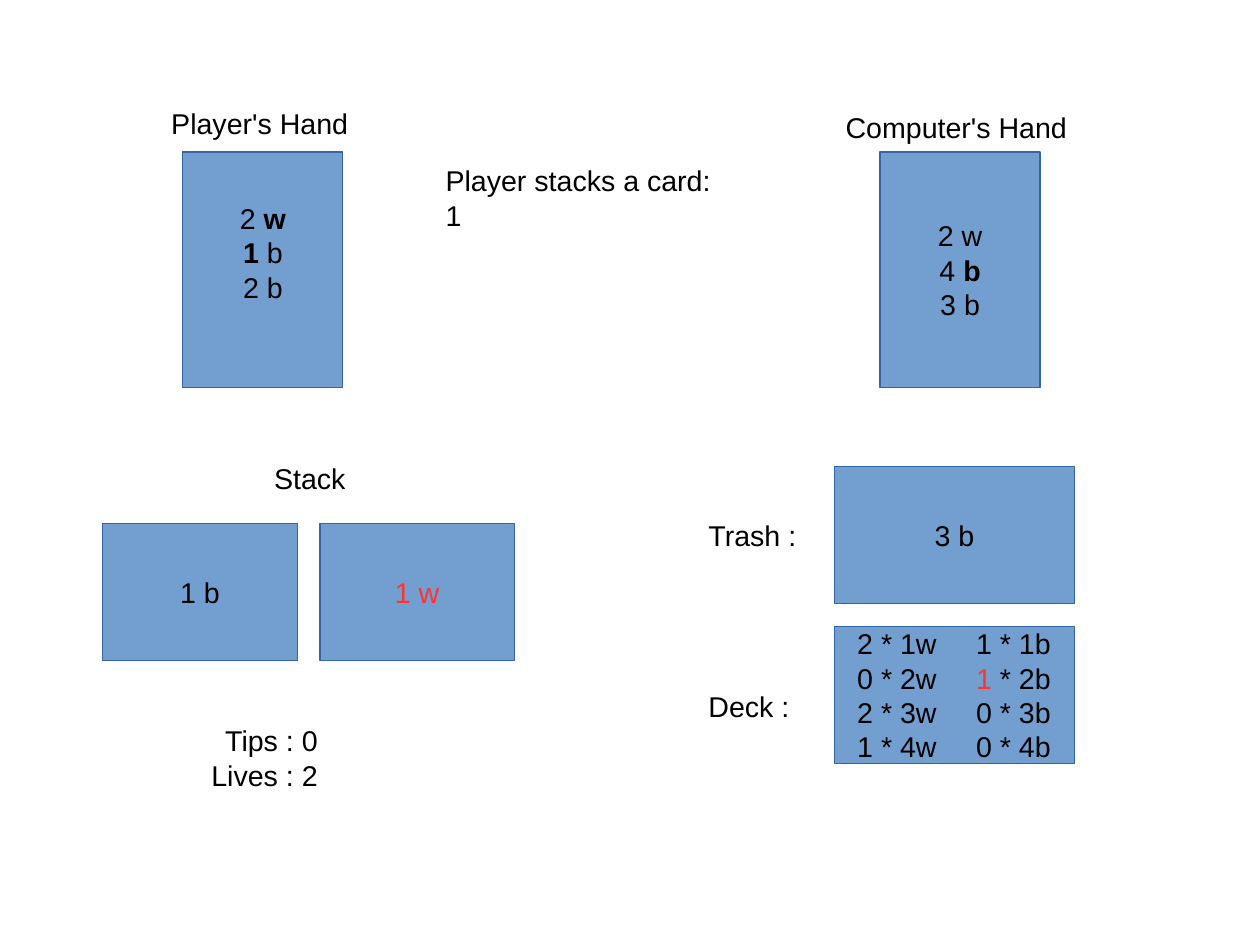
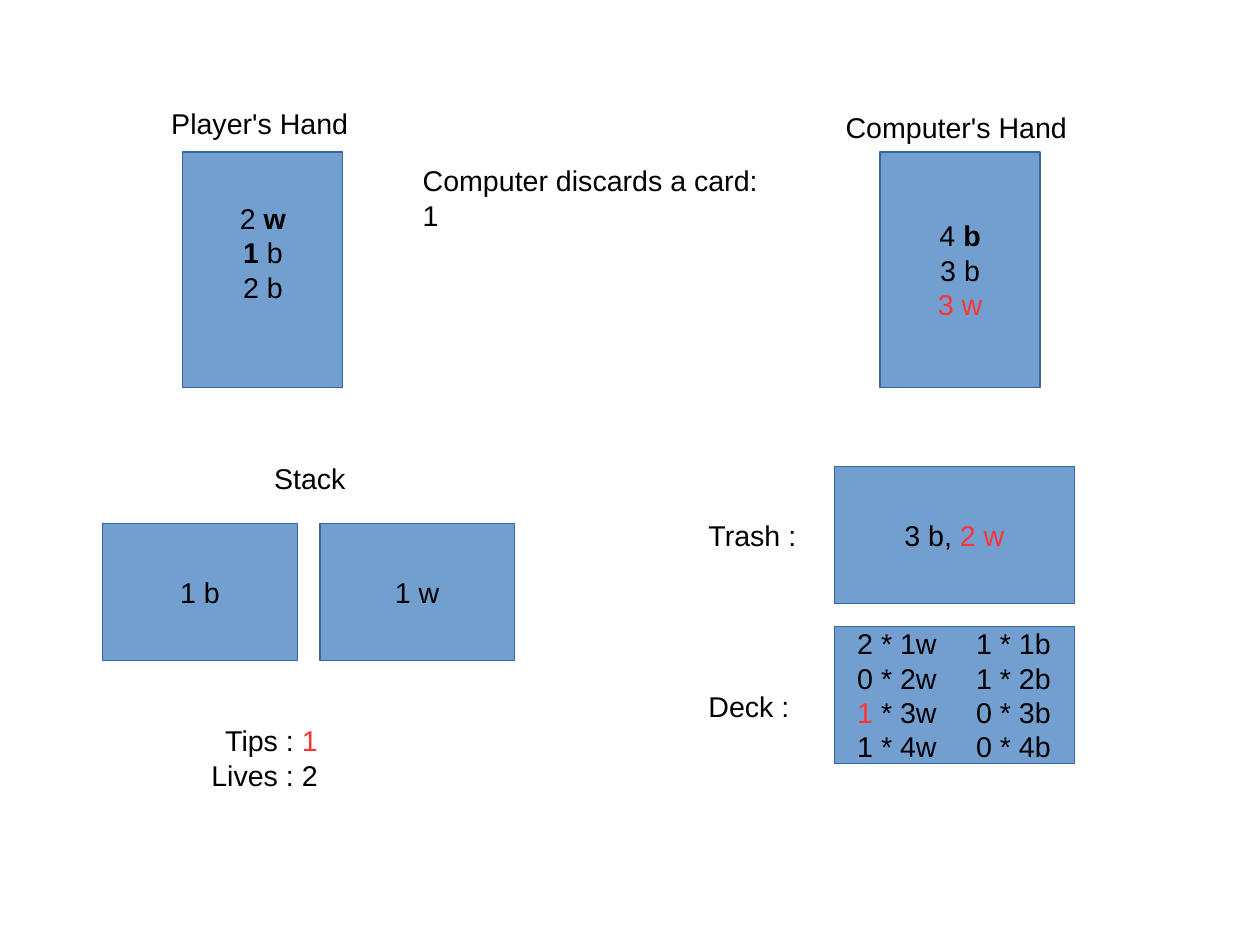
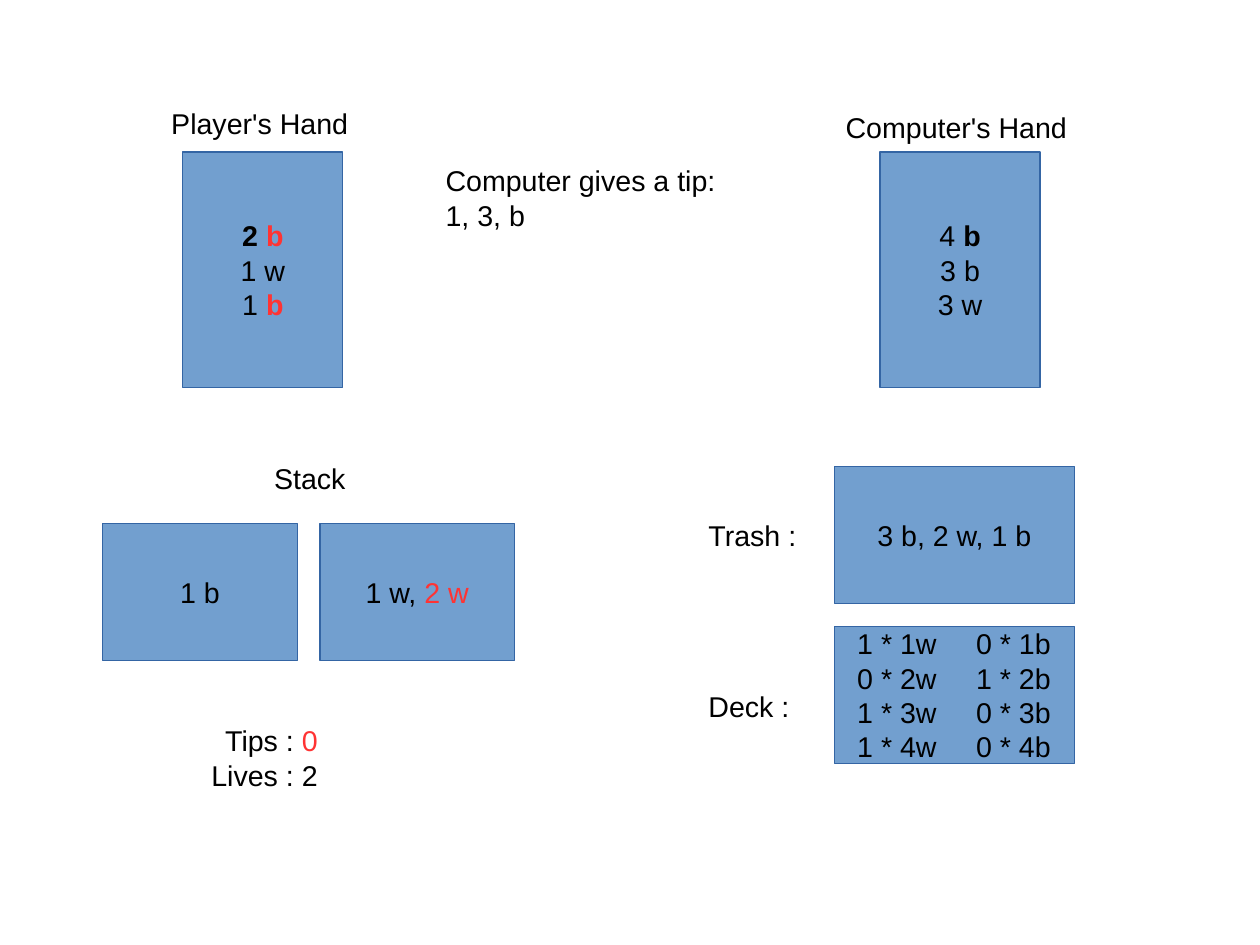
from dataclasses import dataclass

from lxml import etree
from pptx import Presentation
from pptx.dml.color import RGBColor
from pptx.enum import shapes, text
from pptx.oxml.ns import qn
from pptx.util import Cm, Inches, Pt

CARD_FILL = RGBColor(0x72, 0x9F, 0xCF)
CARD_LINE = RGBColor(0x34, 0x65, 0xA4)
INK = RGBColor(0, 0, 0)
CHANGED = RGBColor(0xFF, 0x33, 0x33)
FONT, SIZE = "Arial", Pt(18)
LEFT, CENTER, RIGHT = text.PP_ALIGN.LEFT, text.PP_ALIGN.CENTER, text.PP_ALIGN.RIGHT
LABEL_HEIGHT, NOTE_HEIGHT = 0.39, 0.69


@dataclass
class Span:
    text: str
    bold: bool = False
    color: RGBColor = INK


def bold(words, color=INK):
    return Span(words, True, color)


def red(words):
    return Span(words, color=CHANGED)


# Text: each line is a list of plain strings and styled spans
def write(box, lines, align):
    frame = box.text_frame
    frame.word_wrap = True
    for index, line in enumerate(lines):
        para = frame.paragraphs[0] if index == 0 else frame.add_paragraph()
        para.alignment = align
        for part in line:
            span = part if isinstance(part, Span) else Span(part)
            run = para.add_run()
            run.text = span.text
            run.font.name, run.font.size = FONT, SIZE
            run.font.bold = span.bold
            run.font.color.rgb = span.color
    return frame


def add_label(page, left, top, width, lines, height=LABEL_HEIGHT, align=LEFT):
    box = page.shapes.add_textbox(*map(Inches, (left, top, width, height)))
    return write(box, lines, align)


def add_card(page, left, top, width, height, lines, align=CENTER):
    box = page.shapes.add_shape(shapes.MSO_SHAPE.RECTANGLE,
                                *map(Inches, (left, top, width, height)))
    box.shadow.inherit = False
    box.fill.solid()
    box.fill.fore_color.rgb = CARD_FILL
    box.line.color.rgb = CARD_LINE
    box.line.width = Pt(0.75)
    frame = write(box, lines, align)
    frame.vertical_anchor = text.MSO_ANCHOR.MIDDLE
    return frame


def set_tab(para, position):
    tabs = etree.SubElement(para._p.get_or_add_pPr(), qn("a:tabLst"))
    etree.SubElement(tabs, qn("a:tab"), pos=str(Inches(position)), algn="l")


# Regions of the table
def draw_hand(page, left, top, title, title_box, cards, raised=False):
    frame = add_card(page, left, top, 1.4, 2.06, cards)
    if raised:
        frame.margin_bottom = Inches(0.35)
    offset, rise, width = title_box
    add_label(page, left - offset, top - rise, width, [[title]])


def draw_stack(page, left, top, piles):
    add_label(page, left + 1.4, top, 0.9, [["Stack"]])
    for index, pile in enumerate(piles):
        add_card(page, left + index * 1.9, top + 0.6, 1.7, 1.2, [pile])


def draw_trash(page, left, top, cards):
    add_label(page, left, top + 0.4, 1, [["Trash :"]])
    add_card(page, left + 1.2, top, 2.1, 1.2, [cards])


def draw_deck(page, left, top, whites, blacks):
    lines = [[white, f" * {rank}w\t", black, f" * {rank}b"]
             for rank, (white, black) in enumerate(zip(whites, blacks), 1)]
    add_label(page, left, top + 0.5, 1, [["Deck :"]])
    frame = add_card(page, left + 1.2, top, 2.1, 1.2, lines, LEFT)
    frame.margin_left = Inches(0.2)
    for para in frame.paragraphs:
        set_tab(para, 1.04)


def draw_score(page, left, top, tips, lives):
    lines = [["Tips : ", tips], ["Lives : ", lives]]
    frame = add_label(page, left, top, 3, lines, NOTE_HEIGHT, RIGHT)
    frame.margin_right = Inches(1.62)


def draw_turn(deck, turn):
    page = deck.slides.add_slide(deck.slide_layouts[6])
    draw_hand(page, 1.6, 1.33, "Player's Hand", (0.2, 0.45, 1.8),
              turn["player"], turn.get("raised", False))
    draw_hand(page, 7.7, 1.33, "Computer's Hand", (0.4, 0.42, 2.2), turn["computer"])
    draw_stack(page, 0.9, 3.98, turn["stack"])
    draw_trash(page, 6.1, 4.08, turn["trash"])
    draw_deck(page, 6.1, 5.48, turn["whites"], turn["blacks"])
    draw_score(page, 1.4, 6.28, turn["tips"], "2")
    left = turn.get("move_left", 3.8)
    add_label(page, left, 1.38, 6.9 - left, turn["move"], NOTE_HEIGHT)


# Game turns, one per slide
FIRST_HAND = [["2 ", bold("w")], [bold("1"), " b"], ["2 b"]]
TURNS = [
    dict(move=[["Player stacks a card:"], ["1"]],
         player=FIRST_HAND, raised=True,
         computer=[["2 w"], ["4 ", bold("b")], ["3 b"]],
         stack=[["1 b"], [red("1 w")]], trash=["3 b"],
         whites="2021", blacks=["1", red("1"), "0", "0"], tips="0"),
    dict(move=[["Computer discards a card:"], ["1"]], move_left=3.6,
         player=FIRST_HAND, raised=True,
         computer=[["4 ", bold("b")], ["3 b"], [red("3 w")]],
         stack=[["1 b"], ["1 w"]], trash=["3 b, ", red("2 w")],
         whites=["2", "0", red("1"), "1"], blacks="1100", tips=red("1")),
    dict(move=[["Computer gives a tip:"], ["1, 3, b"]],
         player=[[bold("2 "), bold("b", CHANGED)], ["1 w"], ["1 ", bold("b", CHANGED)]],
         computer=[["4 ", bold("b")], ["3 b"], ["3 w"]],
         stack=[["1 b"], ["1 w, ", red("2 w")]], trash=["3 b, 2 w, 1 b"],
         whites="1011", blacks="0100", tips=red("0")),
]

deck = Presentation()
deck.slide_width = Cm(28)
deck.slide_height = Cm(21)
for turn in TURNS:
    draw_turn(deck, turn)
deck.save("out.pptx")
